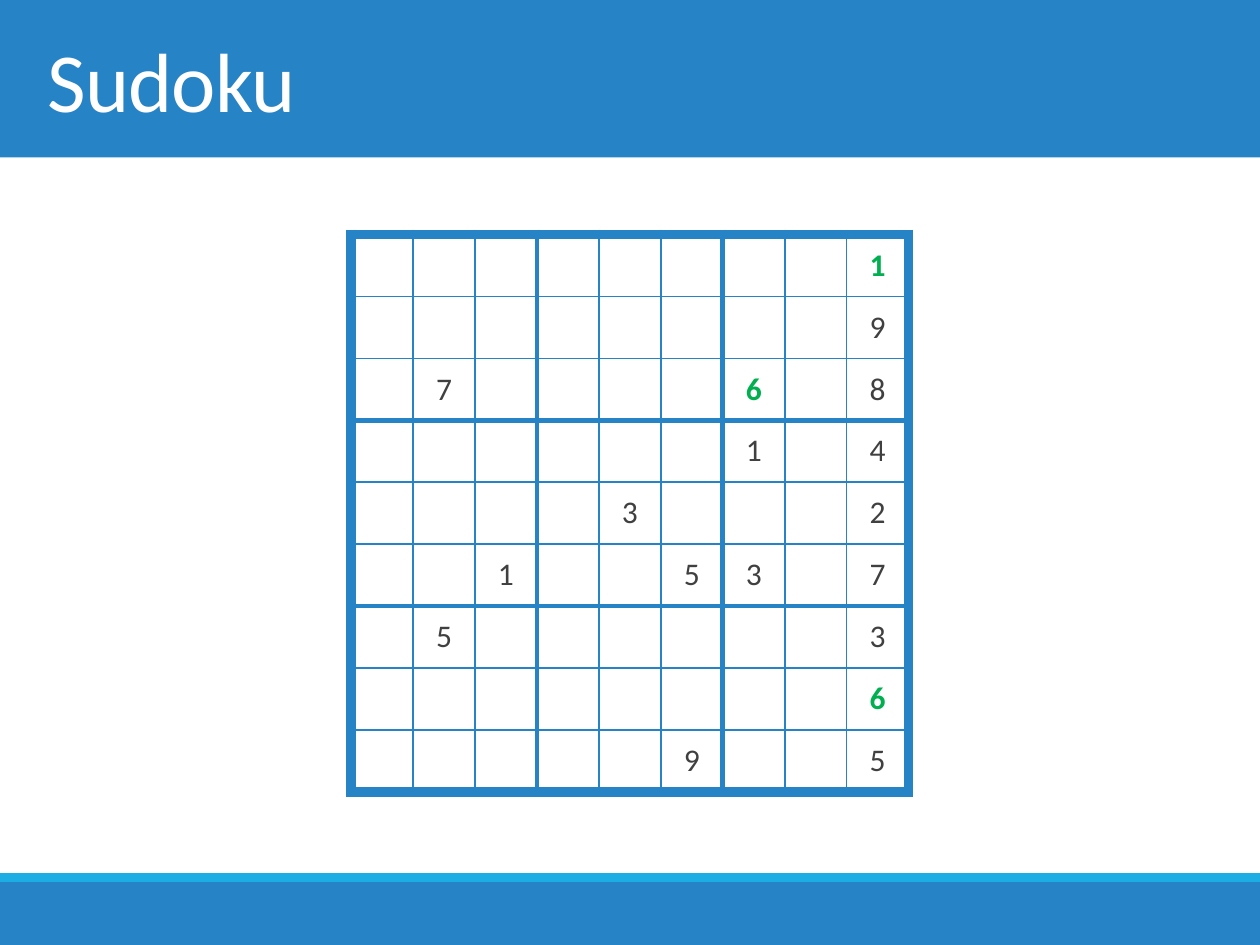
from lxml.etree import SubElement
from pptx import Presentation
from pptx.dml.color import RGBColor
from pptx.enum.shapes import MSO_SHAPE as Shape
from pptx.enum.text import MSO_ANCHOR as Anchor, PP_ALIGN as Align
from pptx.oxml import parse_xml
from pptx.oxml.ns import nsdecls, qn
from pptx.util import Pt

COLORS = {
    "blue": "2683C6",
    "cyan": "1CADE4",
    "white": "FFFFFF",
    "green": "00B050",
    "gray": "404040",
}
FONT = "Calibri"
CELL_SIZE = 35.43
GRID_LEFT, GRID_TOP = 200.6, 133.9
THIN, BLOCK, FRAME = 1, 3, 6

# One string per row; a dot is an empty cell
PUZZLE = [
    "........1",
    "........9",
    ".7....6.8",
    "......1.4",
    "....3...2",
    "..1..53.7",
    ".5......3",
    "........6",
    ".....9..5",
]
HIGHLIGHTED = {(0, 8), (2, 6), (7, 8)}


def color(name):
    return RGBColor.from_string(COLORS[name])


def add_band(slide, top, height, fill):
    band = slide.shapes.add_shape(Shape.RECTANGLE, 0, Pt(top), Pt(720), Pt(height))
    band.shadow.inherit = False
    band.fill.solid()
    band.fill.fore_color.rgb = color(fill)
    band.line.fill.background()


def format_run(run, size, color_name, bold=False):
    run.font.name = FONT
    run.font.size = Pt(size)
    run.font.bold = bold
    run.font.color.rgb = color(color_name)


def add_title(slide, text):
    title = slide.shapes.add_textbox(Pt(20.2), 0, Pt(680.4), Pt(90))
    text_frame = title.text_frame
    text_frame.word_wrap = True
    text_frame.vertical_anchor = Anchor.MIDDLE
    text_frame.text = text
    run = text_frame.paragraphs[0].runs[0]
    format_run(run, 48, "white")
    run.font._element.set("spc", "-50")


def line_width(index):
    """Width of grid line 0 to 9: frame, block edge or thin line."""
    if index in (0, 9):
        return FRAME
    return BLOCK if index % 3 == 0 else THIN


def set_borders(cell, widths):
    properties = cell._tc.get_or_add_tcPr()
    for position, (side, width) in enumerate(widths.items()):
        line = parse_xml(f'<a:ln{side} {nsdecls("a")} w="{Pt(width)}"/>')
        fill = SubElement(line, qn("a:solidFill"))
        SubElement(fill, qn("a:srgbClr"), val=COLORS["blue"])
        properties.insert(position, line)


def fill_cell(cell, digit, highlighted):
    cell.vertical_anchor = Anchor.MIDDLE
    cell.fill.background()
    paragraph = cell.text_frame.paragraphs[0]
    paragraph.alignment = Align.CENTER
    if digit != ".":
        paragraph.text = digit
        color_name = "green" if highlighted else "gray"
        format_run(paragraph.runs[0], 18, color_name, bold=highlighted)


def add_sudoku(slide):
    count = len(PUZZLE)
    side = Pt(CELL_SIZE * count)
    table = slide.shapes.add_table(
        count, count, Pt(GRID_LEFT), Pt(GRID_TOP), side, side
    ).table
    table.first_row = False
    table.horz_banding = False
    for line in [*table.columns]:
        line.width = Pt(CELL_SIZE)
    for line in table.rows:
        line.height = Pt(CELL_SIZE)
    for row, digits in enumerate(PUZZLE):
        for column, digit in enumerate(digits):
            cell = table.cell(row, column)
            fill_cell(cell, digit, (row, column) in HIGHLIGHTED)
            set_borders(cell, {
                "L": line_width(column),
                "R": line_width(column + 1),
                "T": line_width(row),
                "B": line_width(row + 1),
            })


def main():
    presentation = Presentation()
    presentation.slide_width, presentation.slide_height = Pt(720), Pt(540)
    slide = presentation.slides.add_slide(presentation.slide_layouts[6])

    # Header and footer bands
    add_band(slide, 0, 90, "blue")
    add_band(slide, 504, 36, "blue")
    add_band(slide, 499, 5, "cyan")

    # Title and puzzle
    add_title(slide, "Sudoku")
    add_sudoku(slide)

    presentation.save("out.pptx")


main()
